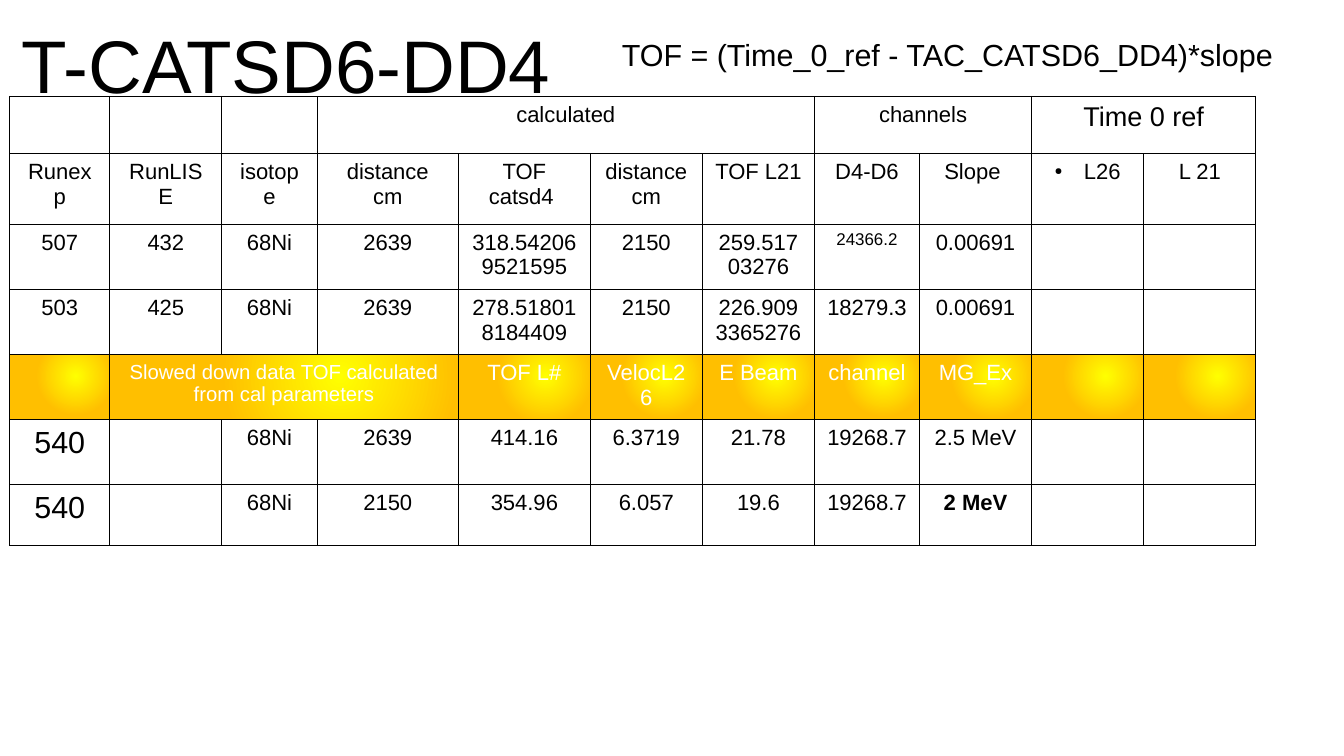
from lxml import etree
from pptx import Presentation
from pptx.dml.color import RGBColor
from pptx.enum.text import MSO_ANCHOR, PP_ALIGN
from pptx.oxml import parse_xml
from pptx.oxml.ns import nsdecls, qn
from pptx.util import Inches, Pt

CENTER, LEFT = PP_ALIGN.CENTER, PP_ALIGN.LEFT
TOP, MIDDLE = MSO_ANCHOR.TOP, MSO_ANCHOR.MIDDLE
BLACK = RGBColor(0x00, 0x00, 0x00)
WHITE = RGBColor(0xFF, 0xFF, 0xFF)
YELLOW = RGBColor(0xFF, 0xFF, 0x00)
AMBER = RGBColor(0xFF, 0xBF, 0x00)
FONT = "Arial"

# Content
TITLE = "T-CATSD6-DD4"
FORMULA = "TOF = (Time_0_ref - TAC_CATSD6_DD4)*slope"
ROWS = [
    ["", "", "", "calculated", "", "", "", "channels", "", "Time 0 ref", ""],
    ["Runexp", "RunLISE", "isotope", "distance cm", "TOF catsd4 ", "distance cm",
     "TOF L21", "D4-D6", "Slope ", "L26", "L 21"],
    ["507", "432", "68Ni", "2639", "318.542069521595", "2150",
     "259.51703276", "24366.2", "0.00691", "", ""],
    ["503", "425", "68Ni", "2639", "278.518018184409", "2150",
     "226.9093365276", "18279.3", "0.00691", "", ""],
    ["", "Slowed down data TOF calculated from cal parameters", "", "", "TOF L#",
     "VelocL26", "E Beam", "channel", "MG_Ex", "", ""],
    ["540", "", "68Ni", "2639", "414.16", "6.3719", "21.78", "19268.7", "2.5 MeV", "", ""],
    ["540", "", "68Ni", "2150", "354.96", "6.057", "19.6", "19268.7", "2 MeV", "", ""],
]
COL_WIDTHS = [0.82, 0.92, 0.78, 1.16, 1.08, 0.92, 0.92, 0.86, 0.92, 0.92, 0.92]
ROW_HEIGHTS = [0.47, 0.58, 0.53, 0.53, 0.53, 0.53, 0.5]

# Exceptions by (row, column)
SPANS = {(0, 3): 4, (0, 7): 2, (0, 9): 2, (4, 1): 3}
SIZES = {(0, 9): 16, (2, 7): 10, (4, 1): 12, (5, 0): 18, (6, 0): 18}
BODY_SIZE = 13
SLOWED_ROW = 4
BULLET_CELL = (1, 9)
BOLD_CELL = (6, 8)


def write(tf, text, size, color=BLACK, align=CENTER, bold=False):
    p = tf.paragraphs[0]
    p.text = text
    p.alignment = align
    for r in p.runs:
        r.font.name, r.font.size, r.font.bold = FONT, Pt(size), bold
        r.font.color.rgb = color
    return p


def add_text(slide, box, text, size, align, anchor, inset):
    tf = slide.shapes.add_textbox(*map(Inches, box)).text_frame
    tf.word_wrap = True
    tf.vertical_anchor = anchor
    tf.margin_left = tf.margin_right = Inches(inset)
    tf.margin_top = tf.margin_bottom = Inches(inset / 2)
    write(tf, text, size, align=align)


def add_borders(cell):
    tcPr = cell._tc.get_or_add_tcPr()
    for side in ("lnL", "lnR", "lnT", "lnB"):
        tcPr.append(parse_xml(
            f'<a:{side} {nsdecls("a")} w="{Pt(0.57)}"><a:solidFill>'
            f'<a:srgbClr val="{BLACK}"/></a:solidFill></a:{side}>'))


def add_glow(cell):
    cell._tc.get_or_add_tcPr().append(parse_xml(
        f'<a:gradFill {nsdecls("a")}><a:gsLst>'
        f'<a:gs pos="0"><a:srgbClr val="{YELLOW}"/></a:gs>'
        f'<a:gs pos="67000"><a:srgbClr val="{AMBER}"/></a:gs></a:gsLst>'
        '<a:path path="circle"><a:fillToRect l="66000" t="33000" r="34000" b="67000"/>'
        '</a:path></a:gradFill>'))


def add_bullet(p):
    pPr = p._p.get_or_add_pPr()
    pPr.set("marL", str(Inches(0.24)))
    pPr.set("indent", str(-Inches(0.24)))
    color = etree.SubElement(pPr, qn("a:buClr"))
    etree.SubElement(color, qn("a:srgbClr"), val=str(BLACK))
    etree.SubElement(pPr, qn("a:buSzPct"), val="45000")
    etree.SubElement(pPr, qn("a:buChar"), char="●")


prs = Presentation()
prs.slide_width, prs.slide_height = Inches(11.02), Inches(6.2)
slide = prs.slides.add_slide(prs.slide_layouts[6])

# Title
add_text(slide, (0, 0, 4.7, 1.04), TITLE, 44, CENTER, MIDDLE, 0)

# Run table
table = slide.shapes.add_table(
    len(ROWS), len(COL_WIDTHS), Inches(0.08), Inches(0.79),
    Inches(sum(COL_WIDTHS)), Inches(sum(ROW_HEIGHTS))).table
table.first_row = table.horz_banding = False
for col, width in zip(table.columns, COL_WIDTHS):
    col.width = Inches(width)
for row, height in zip(table.rows, ROW_HEIGHTS):
    row.height = Inches(height)
for (i, j), span in SPANS.items():
    table.cell(i, j).merge(table.cell(i, j + span - 1))

for i, texts in enumerate(ROWS):
    slowed = i == SLOWED_ROW
    for j, text in enumerate(texts):
        cell = table.cell(i, j)
        add_borders(cell)
        if slowed:
            add_glow(cell)
        else:
            cell.fill.background()
        if text:
            p = write(cell.text_frame, text, SIZES.get((i, j), BODY_SIZE),
                      WHITE if slowed else BLACK, bold=(i, j) == BOLD_CELL)
            if (i, j) == BULLET_CELL:
                add_bullet(p)

# Formula
add_text(slide, (5, 0.25, 5.75, 0.38), FORMULA, 18, LEFT, TOP, 0.1)

prs.save("out.pptx")
